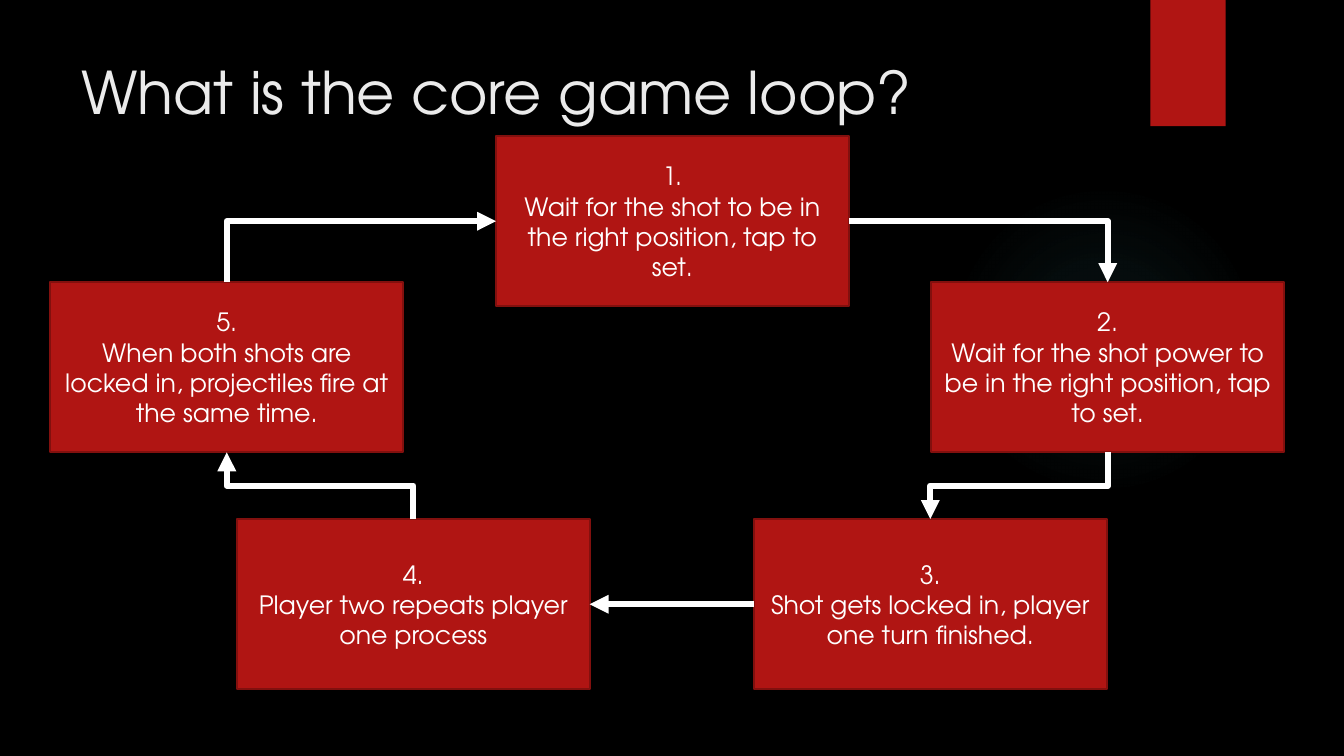
from lxml.etree import SubElement
from pptx import Presentation
from pptx.dml.color import RGBColor
from pptx.enum.shapes import MSO_CONNECTOR, MSO_SHAPE
from pptx.enum.text import MSO_ANCHOR, MSO_AUTO_SIZE, PP_ALIGN
from pptx.oxml import parse_xml
from pptx.oxml.ns import nsdecls, qn
from pptx.util import Cm, Pt

# Content
TITLE = "What is the core game loop?"
STEPS = {  # number: (text, left, top) in cm
    1: ("Wait for the shot to be in the right position, tap to set.", 12.5, 3.43),
    2: ("Wait for the shot power to be in the right position, tap to set.", 23.47, 7.11),
    3: ("Shot gets locked in, player one turn finished.", 19, 13.08),
    4: ("Player two repeats player one process", 5.97, 13.08),
    5: ("When both shots are locked in, projectiles fire at the same time.", 1.27, 7.11),
}
TOP, LEFT, BOTTOM, RIGHT = range(4)  # connection sites of a rectangle
ARROWS = [  # from step, side, to step, side, preset, rotation, flips
    (1, RIGHT, 2, TOP, "bentConnector2", 0, ""),
    (2, BOTTOM, 3, TOP, "bentConnector3", 90, ""),
    (3, LEFT, 4, RIGHT, "line", 0, "H"),
    (4, TOP, 5, BOTTOM, "bentConnector3", 270, "V"),
    (5, TOP, 1, LEFT, "bentConnector2", 90, "HV"),
]
GLOW_STOPS = [(0, 7), (36, 6), (69, 0)]  # position %, opacity %

# Style
FONT = "TeX Gyre Adventor"
BLACK = RGBColor(0x00, 0x00, 0x00)
WHITE = RGBColor(0xFF, 0xFF, 0xFF)
OFF_WHITE = RGBColor(0xEB, 0xEB, 0xEB)
RED = RGBColor(0xB0, 0x15, 0x13)
DARK_RED = RGBColor(0x82, 0x10, 0x0E)
TEAL = RGBColor(0x50, 0xB9, 0xC1)
BOX_WIDTH, BOX_HEIGHT = Cm(8.89), Cm(4.29)


def style_text(paragraph, size, color, alignment):
    paragraph.alignment = alignment
    for run in paragraph.runs:
        run.font.name = FONT
        run.font.size = Pt(size)
        run.font.color.rgb = color


def add_filled_shape(slide, preset, left, top, width, height):
    shape = slide.shapes.add_shape(preset, left, top, width, height)
    shape.shadow.inherit = False
    shape.fill.solid()
    shape.fill.fore_color.rgb = RED
    shape.line.fill.background()
    return shape


def add_glow(slide):
    shape = add_filled_shape(slide, MSO_SHAPE.OVAL, Cm(23.9), Cm(4.65), Cm(7.82), Cm(7.82))
    stops = "".join(
        f'<a:gs pos="{position * 1000}"><a:srgbClr val="{TEAL}">'
        f'<a:alpha val="{opacity * 1000}"/></a:srgbClr></a:gs>'
        for position, opacity in GLOW_STOPS)
    gradient = parse_xml(
        f'<a:gradFill {nsdecls("a")}><a:gsLst>{stops}</a:gsLst><a:path path="circle">'
        '<a:fillToRect l="50000" t="50000" r="50000" b="50000"/></a:path></a:gradFill>')
    properties = shape._element.spPr
    properties.replace(properties.find(qn("a:solidFill")), gradient)


def add_step(slide, number, text, left, top):
    shape = add_filled_shape(slide, MSO_SHAPE.RECTANGLE, Cm(left), Cm(top), BOX_WIDTH, BOX_HEIGHT)
    shape.line.color.rgb = DARK_RED
    shape.line.width = Pt(1.5)
    text_frame = shape.text_frame
    text_frame.word_wrap = True
    text_frame.vertical_anchor = MSO_ANCHOR.MIDDLE
    text_frame.text = f"{number}.\n{text}"
    for paragraph in text_frame.paragraphs:
        style_text(paragraph, 18, WHITE, PP_ALIGN.CENTER)
    return shape


def add_arrow(slide, start, start_side, end, end_side, preset, rotation, flips):
    connector = slide.shapes.add_connector(MSO_CONNECTOR.ELBOW, 0, 0, 0, 0)
    connector.begin_connect(start, start_side)
    connector.end_connect(end, end_side)
    connector.line.color.rgb = WHITE
    connector.line.width = Pt(4.5)
    properties = connector._element.spPr
    SubElement(properties.find(qn("a:ln")), qn("a:tailEnd"), type="triangle")
    SubElement(properties, qn("a:effectLst"))

    # A quarter turn swaps width and height about the same centre
    center_x = (connector.begin_x + connector.end_x) // 2
    center_y = (connector.begin_y + connector.end_y) // 2
    width, height = connector.width, connector.height
    if rotation:
        width, height = height, width
    connector.left, connector.top = center_x - width // 2, center_y - height // 2
    connector.width, connector.height = width, height
    properties.find(qn("a:prstGeom")).set("prst", preset)
    transform = properties.find(qn("a:xfrm"))
    transform.set("rot", str(rotation * 60000))
    for axis in "HV":
        transform.set(f"flip{axis}", str(int(axis in flips)))


def main():
    presentation = Presentation()
    presentation.slide_width, presentation.slide_height = Cm(33.87), Cm(19.05)
    slide = presentation.slides.add_slide(presentation.slide_layouts[5])
    slide.background.fill.solid()
    slide.background.fill.fore_color.rgb = BLACK

    # Backdrop
    add_glow(slide)
    add_filled_shape(slide, MSO_SHAPE.RECTANGLE, Cm(28.99), 0, Cm(1.9), Cm(3.18))

    # Title
    title = slide.shapes.title
    title.left, title.top, title.width, title.height = Cm(1.8), Cm(1.27), Cm(26.14), Cm(3.89)
    title.text_frame.text = TITLE
    title.text_frame.vertical_anchor = MSO_ANCHOR.TOP
    title.text_frame.auto_size = MSO_AUTO_SIZE.NONE
    style_text(title.text_frame.paragraphs[0], 42, OFF_WHITE, PP_ALIGN.LEFT)

    # Loop
    boxes = {number: add_step(slide, number, *step) for number, step in STEPS.items()}
    for start, start_side, end, end_side, *geometry in ARROWS:
        add_arrow(slide, boxes[start], start_side, boxes[end], end_side, *geometry)

    presentation.save("out.pptx")


if __name__ == "__main__":
    main()
